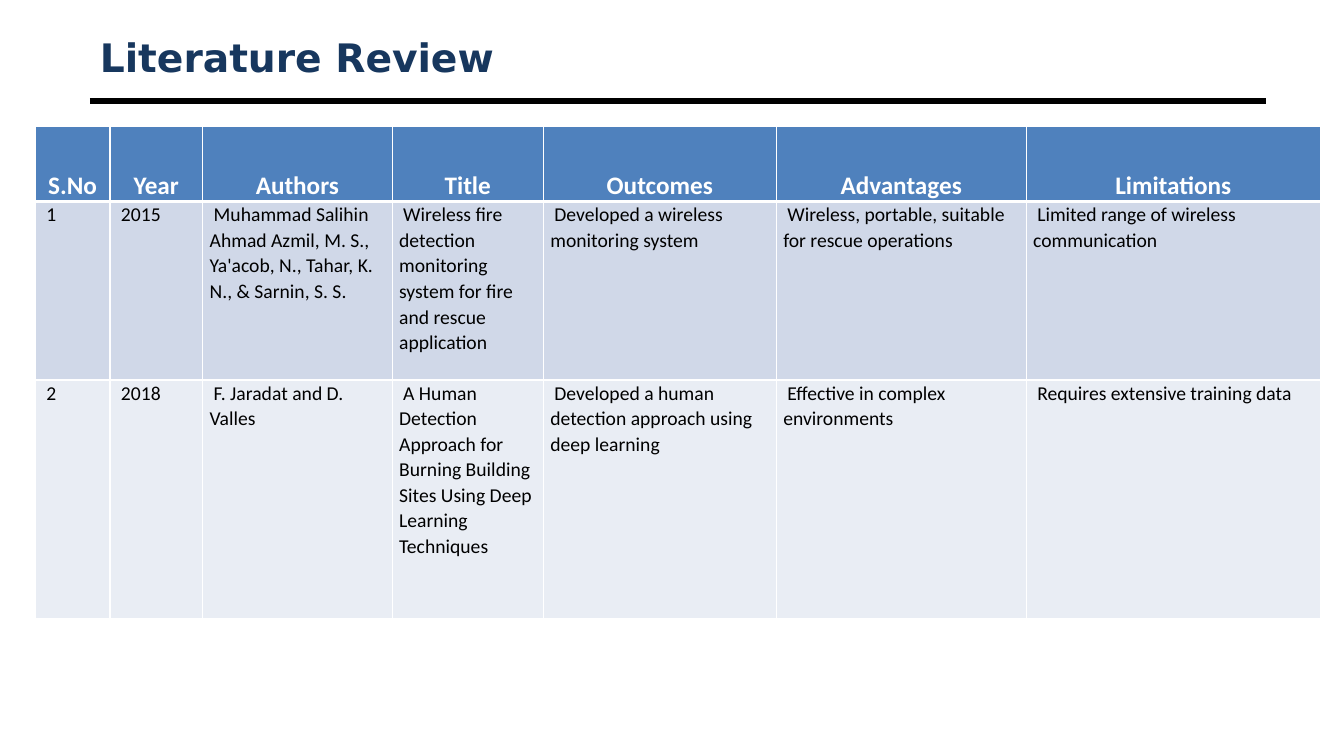
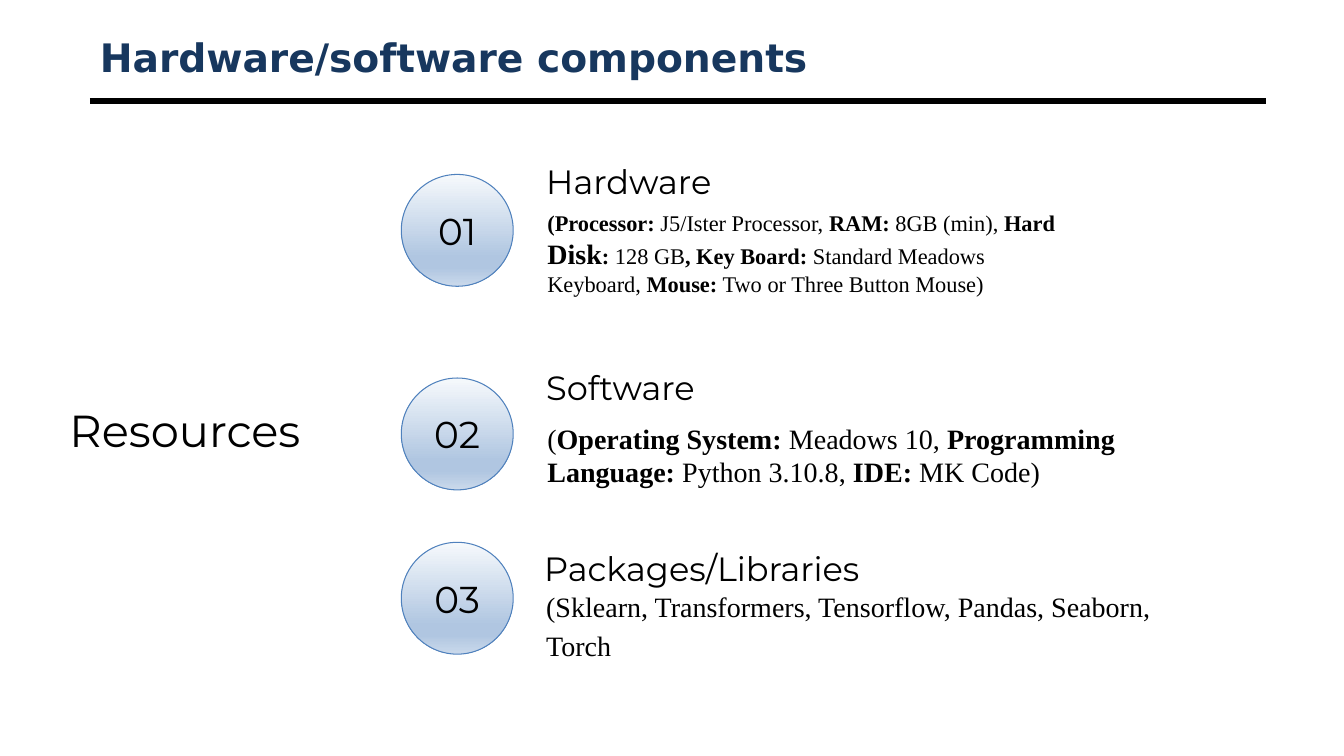
"""Build a literature review table and a list of project resources."""
from lxml import etree
from pptx import Presentation
from pptx.dml.color import RGBColor
from pptx.enum.shapes import MSO_CONNECTOR, MSO_SHAPE
from pptx.enum.text import MSO_ANCHOR, MSO_AUTO_SIZE, PP_ALIGN
from pptx.oxml.ns import qn
from pptx.util import Inches, Pt

W, H = Inches(13.33), Inches(7.5)
LEFT, CENTER = PP_ALIGN.LEFT, PP_ALIGN.CENTER
TOP, MIDDLE, BOTTOM = MSO_ANCHOR.TOP, MSO_ANCHOR.MIDDLE, MSO_ANCHOR.BOTTOM
NO_FIT = MSO_AUTO_SIZE.NONE
STRAIGHT, OVAL = MSO_CONNECTOR.STRAIGHT, MSO_SHAPE.OVAL

BLACK = RGBColor(0x00, 0x00, 0x00)
WHITE = RGBColor(0xFF, 0xFF, 0xFF)
NAVY = RGBColor(0x17, 0x37, 0x5E)
BLUE = RGBColor(0x4F, 0x81, 0xBD)
BANDS = RGBColor(0xD0, 0xD8, 0xE8), RGBColor(0xE9, 0xED, 0xF4)
BADGE_STOPS = (
    (0, RGBColor(0xF6, 0xF9, 0xFC)),
    (74, RGBColor(0xB0, 0xC6, 0xE1)),
    (83, RGBColor(0xB0, 0xC6, 0xE1)),
    (100, RGBColor(0xCA, 0xD9, 0xEB)),
)
TITLE_FONT, TABLE_FONT = "DejaVu Sans", "Calibri"
HEAD_FONT, BODY_FONT = "Montserrat", "Times New Roman"

MARGIN, CONTENT_W, RULE_Y = 6.68, 87.55, 13.33
BADGE_X, BADGE_W, BADGE_H = 29.86, 8.33, 14.8
HEAD_X, BODY_X = 39.9, 39.75
PAD = Inches(0.13)

COLUMNS = 5.55, 6.9, 14.1, 11.25, 17.33, 18.6, 21.9
ROWS = 10, 23.6, 31.6
REVIEW = (
    ("S.No", "Year", "Authors", "Title", "Outcomes", "Advantages", "Limitations"),
    ("1", "2015",
     "Muhammad Salihin Ahmad Azmil, M. S., Ya'acob, N., Tahar, K. N., & Sarnin, S. S.",
     "Wireless fire detection monitoring system for fire and rescue application",
     "Developed a wireless monitoring system",
     "Wireless, portable, suitable for rescue operations",
     "Limited range of wireless communication"),
    ("2", "2018", "F. Jaradat and D. Valles",
     "A Human Detection Approach for Burning Building Sites Using Deep Learning Techniques",
     "Developed a human detection approach using deep learning",
     "Effective in complex environments",
     "Requires extensive training data"),
)
HARDWARE = (
    ("(Processor: ", True), ("J5/Ister Processor, ", False), ("RAM:", True),
    (" 8GB (min), ", False), ("Hard ", True), ("Disk", True, 20), (": ", True),
    ("128 GB", False), (", Key Board:", True),
    (" Standard Meadows Keyboard, ", False), ("Mouse:", True),
    (" Two or Three Button Mouse)", False),
)
SOFTWARE = (
    ("(", False), ("Operating System: ", True), ("Meadows 10, ", False),
    ("Programming Language: ", True), ("Python 3.10.8, ", False),
    ("IDE: ", True), ("MK Code)", False),
)
LIBRARIES = (("(Sklearn, Transformers, Tensorflow, Pandas, Seaborn, Torch", False),)


def box(left, top, width, height):
    """Turn percentages of the slide into a position and size."""
    return [round(n * side / 100) for n, side in
            ((left, W), (top, H), (width, W), (height, H))]


def style(r, font, size, color=BLACK, bold=False):
    """Format one run."""
    r.font.name, r.font.size, r.font.bold = font, Pt(size), bold
    r.font.color.rgb = color


def pad(tf):
    """Give a text frame the wide, even inset."""
    tf.margin_left = tf.margin_right = tf.margin_top = tf.margin_bottom = PAD


def add_rule(slide):
    """Draw the rule under the title and hand it to the slide's layout."""
    x, y, width, _ = box(MARGIN, RULE_Y, CONTENT_W, 0)
    line = slide.shapes.add_connector(STRAIGHT, x, y, x + width, y)
    line.line.color.rgb, line.line.width = BLACK, Pt(4.5)
    etree.SubElement(line.element.spPr, qn("a:effectLst"))
    slide.slide_layout.shapes.element.append(line.element)


def add_slide(prs, title):
    """Add a title-only slide with the shared title style."""
    slide = prs.slides.add_slide(prs.slide_layouts[5])
    sp = slide.shapes.title
    sp.left, sp.top, sp.width, sp.height = box(MARGIN, 4, CONTENT_W, 7.07)
    tf = sp.text_frame
    tf.text, tf.vertical_anchor, tf.auto_size = title, MIDDLE, NO_FIT
    p = tf.paragraphs[0]
    p.alignment = LEFT
    style(p.runs[0], TITLE_FONT, 28, NAVY, True)
    return slide


def add_text(slide, area, segments, font, size, align=LEFT, spacing=1, padded=False):
    """Add a wrapped text box whose segments are text, bold and optional size."""
    tf = slide.shapes.add_textbox(*box(*area)).text_frame
    tf.word_wrap = True
    if padded:
        pad(tf)
    p = tf.paragraphs[0]
    p.alignment, p.line_spacing = align, spacing
    for text, bold, *own_size in segments:
        r = p.add_run()
        r.text = text
        style(r, font, own_size[0] if own_size else size, bold=bold)


def add_badge(slide, top, label):
    """Add a numbered circle with a vertical gradient."""
    sp = slide.shapes.add_shape(OVAL, *box(BADGE_X, top, BADGE_W, BADGE_H))
    sp.shadow.inherit = False
    sp.fill.gradient()
    sp.fill.gradient_angle = 270
    stops = next(sp.element.spPr.iter(qn("a:gsLst")))
    for stop in list(stops):
        stops.remove(stop)
    for share, color in BADGE_STOPS:
        stop = etree.SubElement(stops, qn("a:gs"), pos=str(share * 1000))
        etree.SubElement(stop, qn("a:srgbClr"), val=str(color))
    sp.line.color.rgb, sp.line.width = BLUE, Pt(0.75)
    tf = sp.text_frame
    pad(tf)
    tf.text, tf.vertical_anchor = label, MIDDLE
    p = tf.paragraphs[0]
    p.alignment = CENTER
    style(p.runs[0], HEAD_FONT, 26.7)


def set_borders(cell, top, bottom):
    """Draw white cell borders, with the given top and bottom widths."""
    tc_pr = cell._tc.get_or_add_tcPr()
    sides = ("L", 1), ("R", 1), ("T", top), ("B", bottom)
    for i, (side, width) in enumerate(sides):
        ln = etree.Element(qn(f"a:ln{side}"), w=str(Pt(width)))
        fill = etree.SubElement(ln, qn("a:solidFill"))
        etree.SubElement(fill, qn("a:srgbClr"), val=str(WHITE))
        tc_pr.insert(i, ln)


def fill_cell(cell, text, row):
    """Write and format a header or body cell."""
    header = row == 0
    cell.fill.solid()
    cell.fill.fore_color.rgb = BLUE if header else BANDS[(row - 1) % 2]
    set_borders(cell, 3 if row == 1 else 1, 3 if header else 1)
    cell.margin_left = cell.margin_right = Inches(0.07)
    cell.margin_top = cell.margin_bottom = 0
    cell.vertical_anchor = BOTTOM if header else TOP
    cell.text = text
    p = cell.text_frame.paragraphs[0]
    p.alignment, p.line_spacing = CENTER if header else LEFT, 1.07
    if header:
        style(p.runs[0], TABLE_FONT, 18, WHITE, True)
    else:
        p._p.get_or_add_pPr().set("indent", str(Inches(0.04)))
        style(p.runs[0], TABLE_FONT, 14)


def add_review_table(slide):
    """Add the literature table on its grid of columns and rows."""
    area = box(2.63, 16.67, sum(COLUMNS), sum(ROWS))
    table = slide.shapes.add_table(len(ROWS), len(COLUMNS), *area).table
    for column, share in zip(table.columns, COLUMNS):
        column.width = round(share * W / 100)
    for i, (row, share) in enumerate(zip(table.rows, ROWS)):
        row.height = round(share * H / 100)
        for cell, text in zip(row.cells, REVIEW[i]):
            fill_cell(cell, text, i)


def add_resources(slide):
    """Add the resource label and its three numbered groups."""
    add_text(slide, (0, 51.6, 27.53, 9.2), (("Resources", False),),
             HEAD_FONT, 32, CENTER, 1.15)
    groups = (
        ("Hardware", 23.07, (HEAD_X, 20.67, 50, 6.67), 1,
         HARDWARE, (BODY_X, 26, 40.66, 15.6), 16, 1, True),
        ("Software", 50, (HEAD_X, 47.07, 50, 7.2), 1.15,
         SOFTWARE, (BODY_X, 54, 46.5, 11.47), 20, 1, True),
        ("Packages/Libraries", 71.73, (BODY_X, 71.07, 50, 7.2), 1.15,
         LIBRARIES, (HEAD_X, 76.67, 50, 11.2), 20, 1.15, False),
    )
    for i, group in enumerate(groups, 1):
        name, top, head, head_spacing, body, area, size, spacing, padded = group
        add_badge(slide, top, f"{i:02}")
        add_text(slide, head, ((name, False),), HEAD_FONT, 24, spacing=head_spacing)
        add_text(slide, area, body, BODY_FONT, size, spacing=spacing, padded=padded)


def main():
    """Build and save the presentation."""
    prs = Presentation()
    prs.slide_width, prs.slide_height = W, H
    review = add_slide(prs, "Literature Review")
    add_rule(review)
    add_review_table(review)
    add_resources(add_slide(prs, "Hardware/software components"))
    prs.save("out.pptx")


if __name__ == "__main__":
    main()
